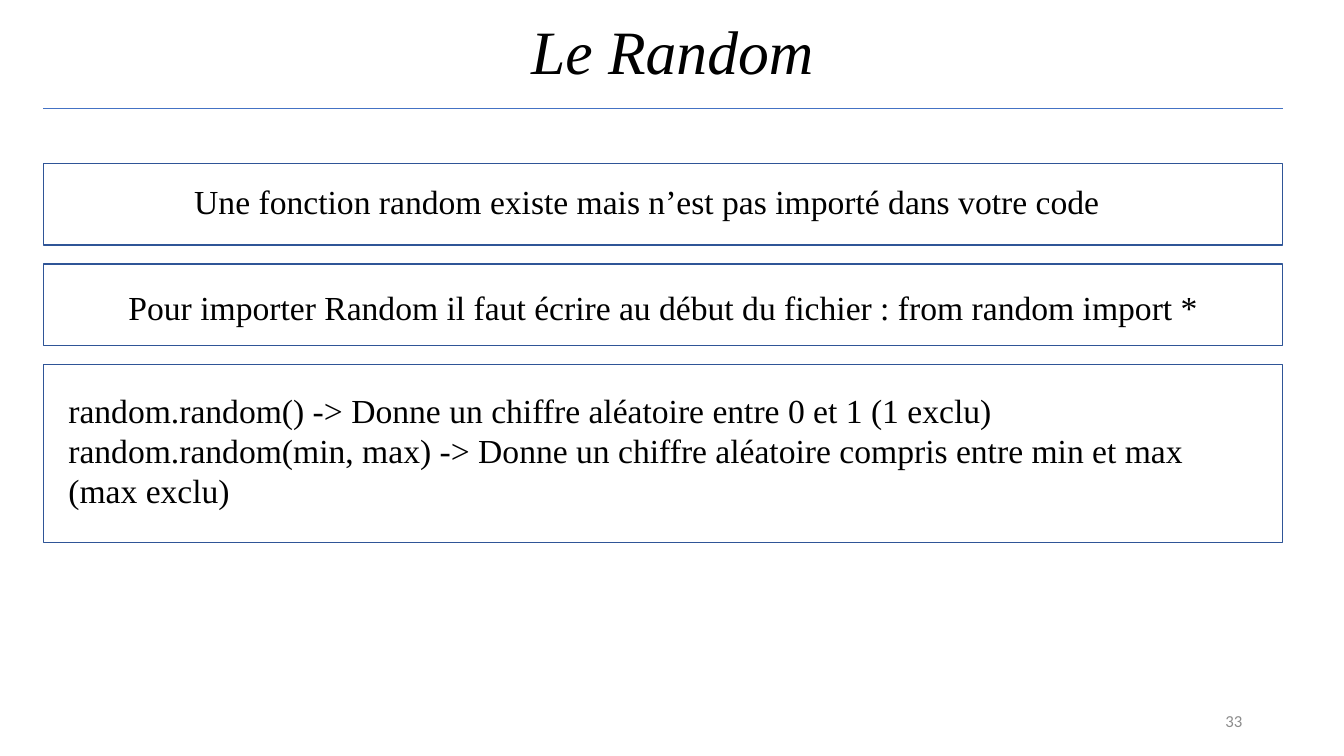
from dataclasses import dataclass

from lxml import etree
from pptx import Presentation
from pptx.dml.color import RGBColor
from pptx.enum.shapes import MSO_CONNECTOR, MSO_SHAPE
from pptx.enum.text import MSO_ANCHOR, PP_ALIGN
from pptx.oxml.ns import qn
from pptx.util import Inches, Pt

LEFT, CENTER, RIGHT = PP_ALIGN.LEFT, PP_ALIGN.CENTER, PP_ALIGN.RIGHT
TOP, MIDDLE = MSO_ANCHOR.TOP, MSO_ANCHOR.MIDDLE
RECT, STRAIGHT = MSO_SHAPE.RECTANGLE, MSO_CONNECTOR.STRAIGHT


@dataclass(frozen=True)
class Theme:
    ink: str = "000000"
    rule: str = "4472C4"
    frame: str = "2F5597"
    muted: str = "8C8C8C"
    serif: str = "Times New Roman"
    sans: str = "Calibri"
    head: int = 44
    body: int = 24
    small: int = 12


class Page:
    """Draws on one slide; all lengths are percentages of its size."""

    def __init__(self, deck, theme):
        self.deck, self.theme = deck, theme
        self.slide = deck.slides.add_slide(deck.slide_layouts[6])

    def scale(self, x, y):
        return (round(self.deck.slide_width * x / 100),
                round(self.deck.slide_height * y / 100))

    def area(self, x, y, wide, high):
        return *self.scale(x, y), *self.scale(wide, high)

    def text(self, lines, area, *, size=None, font=None, color=None,
             align=CENTER, anchor=TOP, italic=False, pitch=None):
        look = self.theme
        frame = self.slide.shapes.add_textbox(*self.area(*area)).text_frame
        frame.word_wrap = True
        frame.vertical_anchor = anchor
        frame.text = "\n".join(lines)
        for para in frame.paragraphs:
            para.alignment = align
            if pitch:
                para.line_spacing = pitch
            for run in para.runs:
                run.font.size = Pt(size or look.body)
                run.font.name = font or look.serif
                run.font.italic = italic
                run.font.color.rgb = RGBColor.from_string(color or look.ink)

    def frame(self, area):
        box = self.slide.shapes.add_shape(RECT, *self.area(*area))
        box.shadow.inherit = False
        box.fill.background()
        box.line.color.rgb = RGBColor.from_string(self.theme.frame)
        box.line.width = Pt(1)

    def rule(self, x, y, wide):
        line = self.slide.shapes.add_connector(
            STRAIGHT, *self.scale(x, y), *self.scale(x + wide, y))
        line.line.color.rgb = RGBColor.from_string(self.theme.rule)
        line.line.width = Pt(0.5)
        etree.SubElement(line._element.spPr, qn("a:effectLst"))


def main():
    deck = Presentation()
    deck.slide_width, deck.slide_height = Inches(13.33), Inches(7.5)
    look = Theme()
    page = Page(deck, look)
    left, wide, gap = 3.23, 92.2, 2.5

    page.text(["Le Random"], (6.9, -2.4, 86.27, 19.33), size=look.head,
              anchor=MIDDLE, italic=True, pitch=0.9)
    page.text(["33"], (70.67, 92.67, 22.5, 5.33), size=look.small,
              font=look.sans, color=look.muted, align=RIGHT, anchor=MIDDLE)
    page.rule(left, 14.4, wide)

    # Each panel: height, then the text's left, drop, width, height, alignment
    panels = [
        (10.8, 4.58, 1.73, 87.1, 6.67, CENTER,
         ["Une fonction random existe mais n’est pas importé dans votre code"]),
        (10.8, 4.35, 2.4, 90, 6.67, CENTER,
         ["Pour importer Random il faut écrire au début du fichier : "
          "from random import *"]),
        (23.6, 4.35, 2.67, 90, 17.47, LEFT,
         ["random.random() -> Donne un chiffre aléatoire entre 0 et 1 (1 exclu)",
          "random.random(min, max) -> Donne un chiffre aléatoire compris "
          "entre min et max (max exclu)"]),
    ]
    top = 21.6
    for high, x, drop, span, tall, align, lines in panels:
        page.frame((left, top, wide, high))
        page.text(lines, (x, top + drop, span, tall), align=align)
        top += high + gap

    deck.save("out.pptx")


if __name__ == "__main__":
    main()
